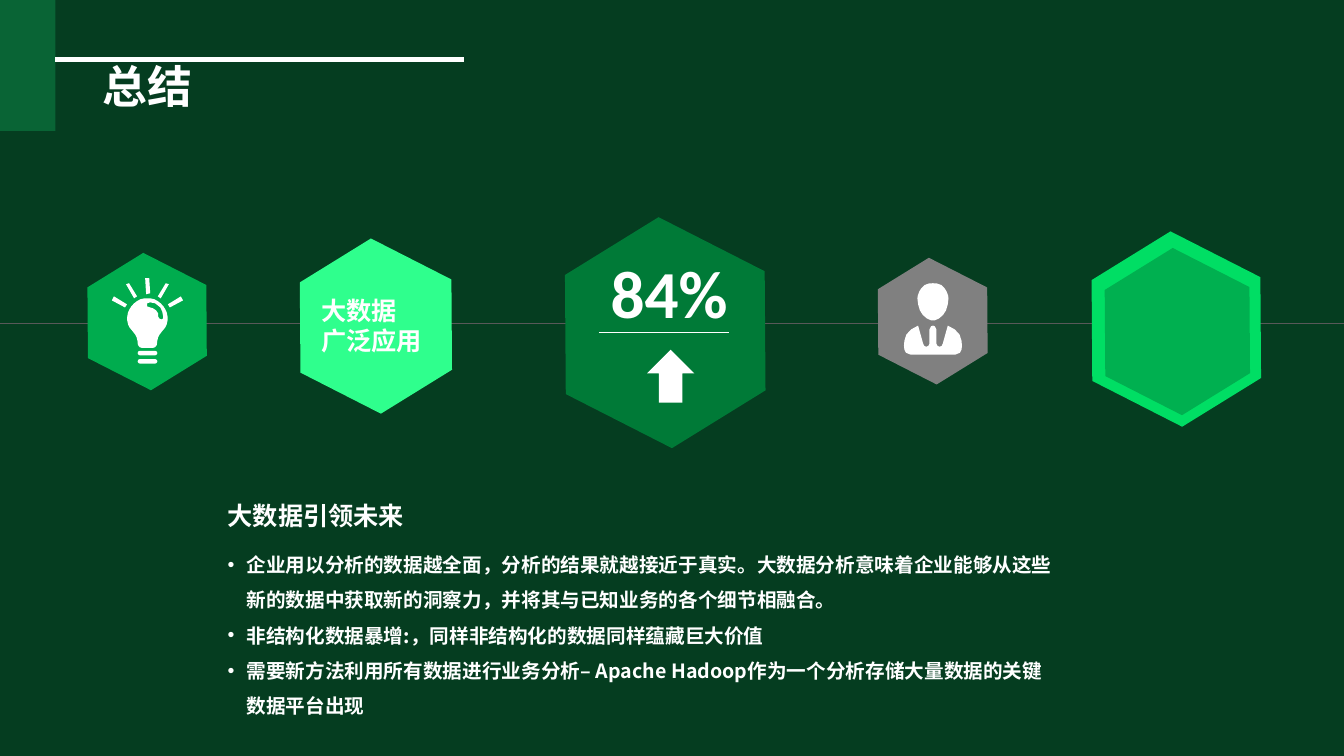
"""Build the green summary slide with a row of hexagons and three closing points."""
from dataclasses import dataclass

import pptx
import pptx.dml.color
import pptx.enum.shapes
import pptx.enum.text
import pptx.oxml.ns
import pptx.util
from lxml import etree

Pt = pptx.util.Pt
qn = pptx.oxml.ns.qn
SHAPE = pptx.enum.shapes.MSO_SHAPE
Points = list[tuple[float, float]]

CJK = "Noto Sans CJK SC"
WHITE = "FFFFFF"
BULB_AXIS = 105.3
PERSON_AXIS = 666.4


@dataclass
class Box:
    left: float
    top: float
    width: float
    height: float

    def emu(self) -> list[int]:
        return [Pt(v) for v in (self.left, self.top, self.width, self.height)]


@dataclass
class Hexagon:
    box: Box
    color: str


@dataclass
class Rule:
    start: tuple[float, float]
    end: tuple[float, float]
    color: str
    weight: float


@dataclass
class Label:
    box: Box
    lines: list[str]
    size: float
    font: str = CJK


HEXAGONS = [
    Hexagon(Box(55.4, 186.5, 99.4, 86.4), "00AC4E"),
    Hexagon(Box(205.2, 177.8, 126.7, 110.2), "2FFF8D"),
    Hexagon(Box(391.7, 164.9, 167, 145.4), "007A37"),
    Hexagon(Box(620.6, 189.4, 91.4, 79.9), "808080"),
    Hexagon(Box(769.7, 173.5, 141.1, 123.1), "00DE64"),
    Hexagon(Box(780.5, 184.3, 121, 105.1), "00B050"),
]
HEADER_RULE = Rule((39.6, 42.5), (331.2, 42.5), WHITE, 3)
TIMELINE = Rule((0, 231.1), (960, 231.1), "595959", 0.5)
SHARE_RULE = Rule((427.7, 237.6), (520.6, 237.6), WHITE, 0.5)

LABELS = [
    Label(Box(222.4, 207.4, 96, 51.1), ["大数据", "广泛应用"], 18),
    Label(Box(429.1, 175.7, 102.2, 65.5), ["84%"], 48, "Calibri"),
    Label(Box(155.5, 354.2, 195.1, 28.8), ["大数据引领未来"], 18),
]
POINTS_BOX = Box(155.5, 383, 605.5, 150)
SUMMARY_POINTS = [
    "企业用以分析的数据越全面，分析的结果就越接近于真实。大数据分析意味着企业能够从这些"
    "新的数据中获取新的洞察力，并将其与已知业务的各个细节相融合。",
    "非结构化数据暴增:，同样非结构化的数据同样蕴藏巨大价值",
    "需要新方法利用所有数据进行业务分析– Apache Hadoop作为一个分析存储大量数据的关键数据平台出现",
]

BULB_HALF = [
    (0, 213.1), (2.5, 213.2), (5, 213.8), (7.4, 215.1), (9.6, 216.8), (11.5, 218.9),
    (12.9, 221.2), (13.9, 223.4), (14.4, 226.2), (14.4, 228.9), (13.8, 231.8),
    (12.7, 234), (10.8, 236.3), (8.7, 239), (7.6, 241.1), (7, 244), (6.8, 246.4),
    (5.6, 248), (3.8, 248.6),
]
BULB_GLINT = [
    (115.2, 228.2), (113.8, 227.5), (113, 226.1), (113, 223.9), (111.6, 221.8),
    (109.4, 220.3), (107.3, 219.6), (105.1, 218.9), (105.1, 216.7), (107.3, 216),
    (110.9, 216.7), (114.5, 219.6), (115.9, 222.5), (116.6, 226.1), (116.6, 227.5),
]
TOP_RAY = [(107.3, 209.5), (104.4, 210.2), (103.7, 198.7), (106.6, 198.7)]
LEFT_RAYS = [
    [(95.8, 213.1), (90, 203), (92.2, 202.3), (97.9, 211.7)],
    [(81.4, 211.7), (90.7, 217.4), (89.3, 219.6), (79.9, 214.6)],
]
HEAD_HALF = [
    (0, 202.3), (2.6, 202.4), (6, 203.6), (8.3, 205.9), (9.7, 208.1), (10.8, 211),
    (11.1, 213.1), (10.6, 217.4), (9.3, 221.8), (7.2, 225), (4.3, 227.5), (1.4, 228.8),
]
TORSO_HALF = [
    (0, 232.6), (1.4, 233.1), (2.5, 235.4), (2.5, 245.5), (3.2, 247), (4.8, 247.7),
    (6.3, 247), (7, 245.5), (10.6, 232.6), (15.6, 235.3), (19, 239), (20.4, 243.4),
    (20.7, 247), (20.4, 249.8), (19.2, 252), (16, 253.3),
]


def rgb(color: str) -> pptx.dml.color.RGBColor:
    return pptx.dml.color.RGBColor.from_string(color)


def paint(shape, color: str) -> None:
    shape.shadow.inherit = False
    shape.fill.solid()
    shape.fill.fore_color.rgb = rgb(color)
    shape.line.fill.background()


def add_preset(slide, kind, box: Box, color: str):
    shape = slide.shapes.add_shape(kind, *box.emu())
    paint(shape, color)
    return shape


def add_hexagon(slide, hexagon: Hexagon) -> None:
    shape = add_preset(slide, SHAPE.HEXAGON, hexagon.box, hexagon.color)
    shape.adjustments[0] = 0.304
    shape.adjustments[1] = 1.155
    shape.rotation = 328.3


def add_rule(slide, rule: Rule) -> None:
    ends = [Pt(v) for v in rule.start + rule.end]
    line = slide.shapes.add_connector(pptx.enum.shapes.MSO_CONNECTOR.STRAIGHT, *ends)
    line.line.color.rgb = rgb(rule.color)
    line.line.width = Pt(rule.weight)
    etree.SubElement(line._element.spPr, qn("a:effectLst"))


def mirrored(half: Points, axis: float) -> Points:
    right = [(axis + dx, y) for dx, y in half]
    left = [(axis - dx, y) for dx, y in reversed(half) if dx]
    return right + left


def add_outline(slide, *contours: Points) -> None:
    scaled = [[(Pt(x), Pt(y)) for x, y in contour] for contour in contours]
    builder = slide.shapes.build_freeform(*scaled[0][0], scale=1.0)
    builder.add_line_segments(scaled[0][1:], close=True)
    for contour in scaled[1:]:
        builder.move_to(*contour[0])
        builder.add_line_segments(contour[1:], close=True)
    paint(builder.convert_to_shape(), WHITE)


def add_run(paragraph, text: str, size: float, font: str = CJK) -> None:
    run = paragraph.add_run()
    run.text = text
    run.font.size = Pt(size)
    run.font.bold = True
    run.font.color.rgb = rgb(WHITE)
    run.font.name = font
    etree.SubElement(run._r.get_or_add_rPr(), qn("a:ea"), typeface=font)


def add_text_frame(slide, box: Box):
    frame = slide.shapes.add_textbox(*box.emu()).text_frame
    frame.word_wrap = True
    return frame


def add_paragraph(frame, index: int):
    return frame.add_paragraph() if index else frame.paragraphs[0]


def add_label(slide, label: Label) -> None:
    frame = add_text_frame(slide, label.box)
    for index, text in enumerate(label.lines):
        add_run(add_paragraph(frame, index), text, label.size, label.font)


def add_summary_points(slide) -> None:
    frame = add_text_frame(slide, POINTS_BOX)
    for index, text in enumerate(SUMMARY_POINTS):
        paragraph = add_paragraph(frame, index)
        properties = paragraph._p.get_or_add_pPr()
        properties.set("marL", str(Pt(13.5)))
        properties.set("indent", str(-Pt(13.5)))
        etree.SubElement(properties, qn("a:buFont"), typeface="Arial")
        etree.SubElement(properties, qn("a:buChar"), char="•")
        paragraph.line_spacing = 1.5
        add_run(paragraph, text, 14)


def add_title(slide) -> None:
    title = slide.shapes.title
    title.left, title.top, title.width, title.height = Box(66.2, 42.5, 300.2, 64.8).emu()
    frame = title.text_frame
    frame.auto_size = pptx.enum.text.MSO_AUTO_SIZE.NONE
    frame.vertical_anchor = pptx.enum.text.MSO_ANCHOR.TOP
    heading = frame.paragraphs[0]
    heading.alignment = pptx.enum.text.PP_ALIGN.LEFT
    heading.line_spacing = 0.9
    add_run(heading, "总结", 32)


def add_bulb(slide) -> None:
    add_outline(slide, mirrored(BULB_HALF, BULB_AXIS), BULB_GLINT)
    for top in (250.6, 256.5):
        band = add_preset(slide, SHAPE.ROUNDED_RECTANGLE, Box(98.4, top, 14, 3.2), WHITE)
        band.adjustments[0] = 0.5
    add_outline(slide, TOP_RAY)
    for ray in LEFT_RAYS:
        add_outline(slide, ray)
        add_outline(slide, [(2 * BULB_AXIS - x, y) for x, y in ray])


def main() -> None:
    deck = pptx.Presentation()
    deck.slide_width, deck.slide_height = Pt(960), Pt(540)
    slide = deck.slides.add_slide(deck.slide_layouts[5])
    slide.background.fill.solid()
    slide.background.fill.fore_color.rgb = rgb("053D20")
    add_preset(slide, SHAPE.RECTANGLE, Box(0, 0, 39.6, 93.6), "096435")
    add_rule(slide, HEADER_RULE)
    add_title(slide)
    add_rule(slide, TIMELINE)
    for hexagon in HEXAGONS:
        add_hexagon(slide, hexagon)
    add_bulb(slide)
    add_outline(slide, mirrored(TORSO_HALF, PERSON_AXIS), mirrored(HEAD_HALF, PERSON_AXIS))
    add_rule(slide, SHARE_RULE)
    add_preset(slide, SHAPE.UP_ARROW, Box(462.2, 249.8, 33.8, 37.8), WHITE)
    for label in LABELS:
        add_label(slide, label)
    add_summary_points(slide)
    deck.save("out.pptx")


if __name__ == "__main__":
    main()
